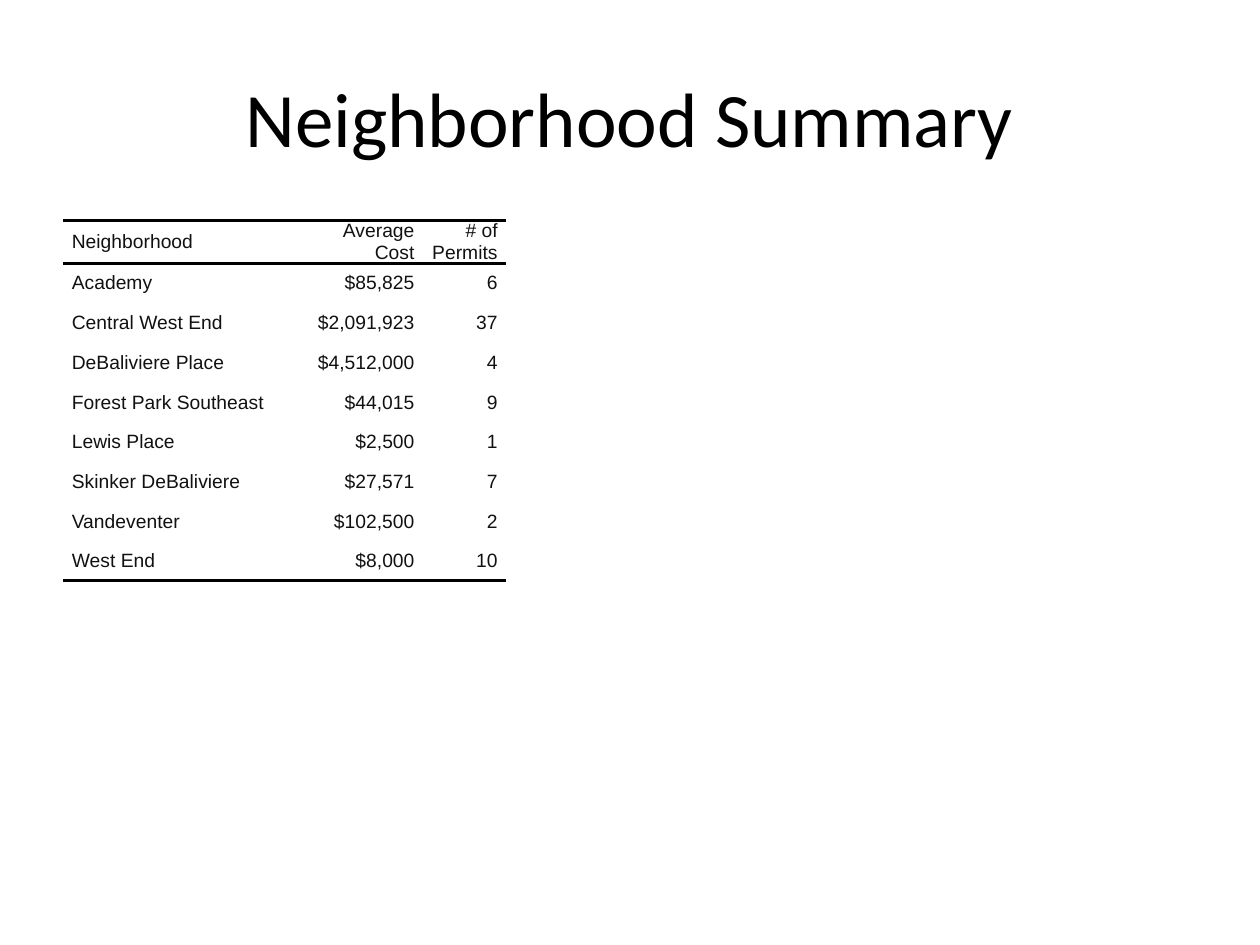
from lxml import etree
from pptx import Presentation
from pptx.dml.color import RGBColor
from pptx.enum.text import MSO_ANCHOR, PP_ALIGN
from pptx.oxml.ns import qn
from pptx.util import Inches, Pt

BLACK = RGBColor(0x00, 0x00, 0x00)
TEXT_GRAY = RGBColor(0x11, 0x11, 0x11)
LEFT, CENTER, RIGHT = PP_ALIGN.LEFT, PP_ALIGN.CENTER, PP_ALIGN.RIGHT
MIDDLE = MSO_ANCHOR.MIDDLE
TITLE_ONLY = 5
NO_STYLE_NO_GRID = "{2D5ABB26-0587-4C30-8999-92F81FD0307C}"
TOP_EDGE, BOTTOM_EDGE = "a:lnT", "a:lnB"

SUMMARY = [
    ("Neighborhood", "Average Cost", "# of Permits"),
    ("Academy", "$85,825", "6"),
    ("Central West End", "$2,091,923", "37"),
    ("DeBaliviere Place", "$4,512,000", "4"),
    ("Forest Park Southeast", "$44,015", "9"),
    ("Lewis Place", "$2,500", "1"),
    ("Skinker DeBaliviere", "$27,571", "7"),
    ("Vandeventer", "$102,500", "2"),
    ("West End", "$8,000", "10"),
]
COLUMN_WIDTHS = [Inches(1.81), Inches(1.05), Inches(0.66)]
COLUMN_ALIGNMENTS = [LEFT, RIGHT, RIGHT]
HEADER_HEIGHT = Inches(0.31)
BODY_HEIGHT = Inches(2.52)


def place(shape, box):
    shape.left, shape.top, shape.width, shape.height = box


def format_font(font, name, size, color):
    font.name, font.size, font.bold = name, Pt(size), False
    font.color.rgb = color


def add_title(page, box, text):
    title = page.shapes.title
    place(title, box)
    frame = title.text_frame
    frame.text = text
    frame.vertical_anchor = MIDDLE
    para = frame.paragraphs[0]
    para.alignment = CENTER
    format_font(para.runs[0].font, "Calibri", 44, BLACK)


def add_rule(cell, edge):
    """Draw a solid line along one edge of a cell."""
    properties = cell._tc.get_or_add_tcPr()
    line = etree.SubElement(properties, qn(edge), w=str(Pt(2)))
    fill = etree.SubElement(line, qn("a:solidFill"))
    etree.SubElement(fill, qn("a:srgbClr"), val=str(BLACK))


def format_cell(cell, text, alignment, edges):
    cell.margin_left = cell.margin_right = 0
    cell.margin_top = cell.margin_bottom = 0
    cell.vertical_anchor = MIDDLE
    for edge in edges:
        add_rule(cell, edge)
    cell.fill.background()
    cell.text_frame.text = text
    para = cell.text_frame.paragraphs[0]
    para.alignment = alignment
    para.space_before = para.space_after = Pt(2)
    indents = para._p.get_or_add_pPr()
    for name in ("marL", "marR"):
        indents.set(name, str(Inches(0.07)))
    indents.set("indent", "0")
    format_font(para.runs[0].font, "Arial", 11, TEXT_GRAY)


def add_summary_table(page, box, rows):
    holder = page.shapes.add_table(len(rows), len(COLUMN_WIDTHS), *box)
    table = holder.table
    table.first_row = table.horz_banding = False
    table._tbl.tblPr.find(qn("a:tableStyleId")).text = NO_STYLE_NO_GRID
    for column, width in zip(table.columns, COLUMN_WIDTHS):
        column.width = width

    last = len(rows) - 1
    edges_by_row = {0: (TOP_EDGE, BOTTOM_EDGE), last: (BOTTOM_EDGE,)}
    for index, values in enumerate(rows):
        table.rows[index].height = HEADER_HEIGHT if index == 0 else BODY_HEIGHT // last
        edges = edges_by_row.get(index, ())
        for cell, text, alignment in zip(table.rows[index].cells, values, COLUMN_ALIGNMENTS):
            format_cell(cell, text, alignment, edges)
    place(holder, box)


def main():
    deck = Presentation()
    deck.slide_width, deck.slide_height = Inches(10), Inches(7.5)
    page = deck.slides.add_slide(deck.slide_layouts[TITLE_ONLY])
    left, width = Inches(0.5), Inches(9)
    add_title(page, (left, Inches(0.3), width, Inches(1.25)), "Neighborhood Summary")
    add_summary_table(page, (left, Inches(1.75), width, Inches(4.95)), SUMMARY)
    deck.save("out.pptx")


if __name__ == "__main__":
    main()
